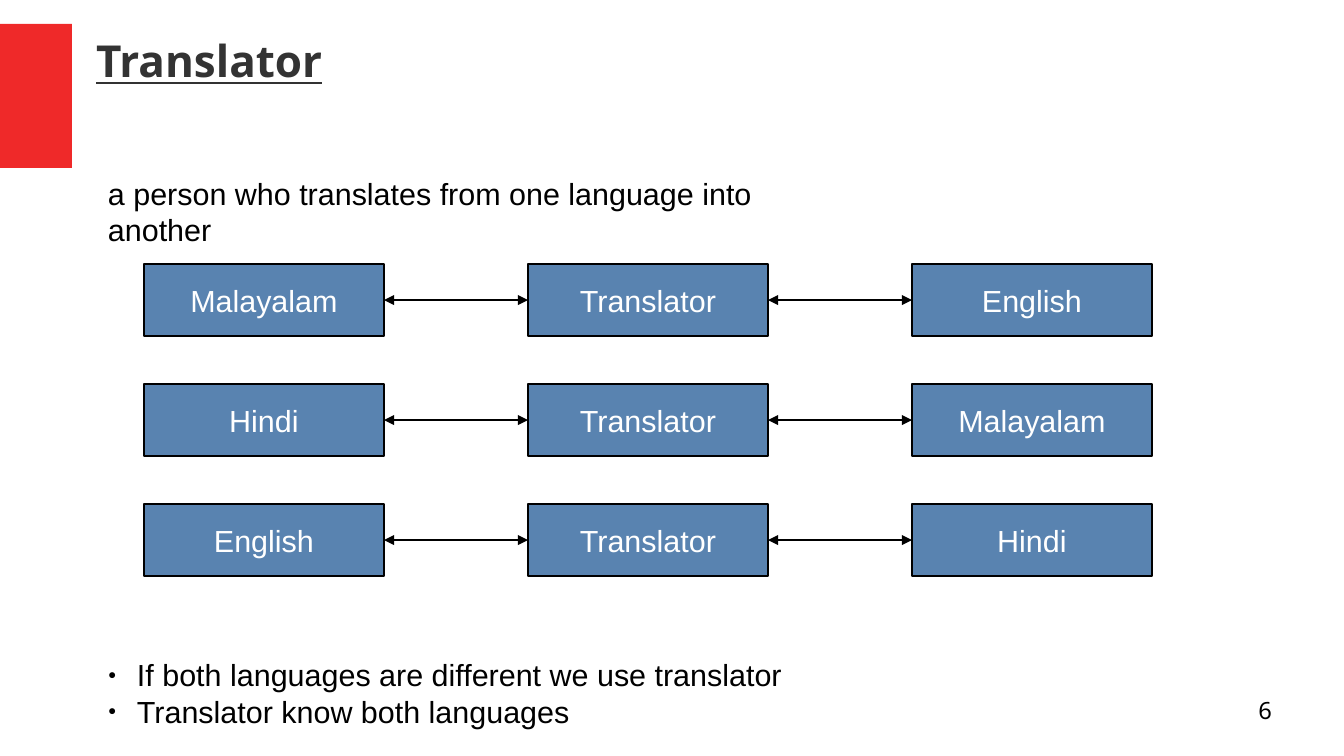
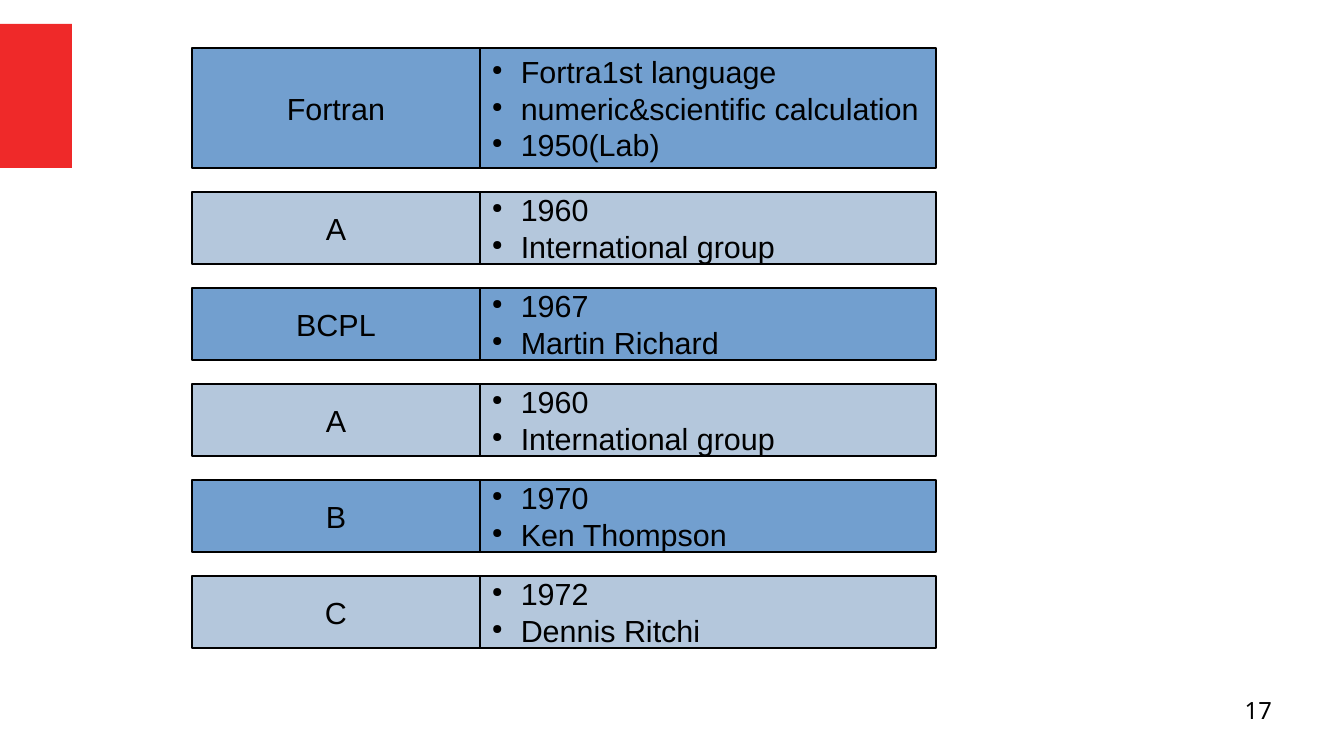
from lxml.etree import SubElement
from pptx import Presentation
from pptx.dml.color import RGBColor
from pptx.enum.shapes import MSO_CONNECTOR as Link, MSO_SHAPE as Form
from pptx.enum.text import MSO_ANCHOR as Anchor, MSO_AUTO_SIZE as Fit, PP_ALIGN as Align
from pptx.oxml.ns import qn
from pptx.util import Cm, Pt

paint = RGBColor.from_string
RED, STEEL, BLUE, PALE = "EF2929", "5983B0", "729FCF", "B4C7DC"
BLACK, WHITE, GREY = "000000", "FFFFFF", "333333"
EDGE = Pt(0.85)


def write(frame, lines, color=BLACK, size=18, face="Arial", align=Align.LEFT, dots=False):
    """Fill a text frame with one paragraph per line and return its runs."""
    frame.word_wrap = True
    frame.auto_size = Fit.NONE
    runs = []
    for i, line in enumerate(lines):
        para = frame.paragraphs[0] if i == 0 else frame.add_paragraph()
        para.alignment = align
        para.space_before = Pt(0)
        run = para.add_run()
        run.text = line
        run.font.size = Pt(size)
        run.font.name = face
        run.font.color.rgb = paint(color)
        runs.append(run)
        if dots:
            props = para._p.get_or_add_pPr()
            props.set("marL", str(Cm(0.6)))
            props.set("indent", str(-Cm(0.6)))
            tint = SubElement(props, qn("a:buClr"))
            SubElement(tint, qn("a:srgbClr")).set("val", BLACK)
            SubElement(props, qn("a:buSzPct")).set("val", "45000")
            SubElement(props, qn("a:buChar")).set("char", "●")
    return runs


def block(slide, left, top, width, height, fill, lines=(), **style):
    """Add a filled rectangle, outlined when it holds text."""
    shape = slide.shapes.add_shape(Form.RECTANGLE, Cm(left), Cm(top), Cm(width), Cm(height))
    shape.shadow.inherit = False
    shape.fill.solid()
    shape.fill.fore_color.rgb = paint(fill)
    if lines:
        shape.line.color.rgb = paint(BLACK)
        shape.line.width = EDGE
        shape.text_frame.vertical_anchor = Anchor.MIDDLE
        write(shape.text_frame, lines, **style)
    else:
        shape.line.fill.background()
    return shape


deck = Presentation()
deck.slide_width, deck.slide_height = Cm(28), Cm(15.75)
person = deck.slides.add_slide(deck.slide_layouts[1])
history = deck.slides.add_slide(deck.slide_layouts[6])

# Shared parts: the red band sits on the master, the page number on each slide
band = block(person, 0, 0.5, 1.5, 3, RED)
band.element.nvSpPr.cNvPr.set("id", "90")
deck.slide_master.shapes.element.append(band.element)

for slide, page in ((person, "6"), (history, "17")):
    frame = slide.shapes.add_textbox(Cm(20), Cm(14.5), Cm(6.5), Cm(1.1)).text_frame
    frame.margin_left = frame.margin_right = frame.margin_top = frame.margin_bottom = 0
    write(frame, [page], size=14, face="Noto Sans", align=Align.RIGHT)

# Translator
title = person.shapes.title
title.left, title.top, title.width, title.height = Cm(2), Cm(0.5), Cm(25), Cm(1.5)
frame = title.text_frame
frame.margin_left = frame.margin_right = frame.margin_top = frame.margin_bottom = 0
frame.vertical_anchor = Anchor.MIDDLE
head = write(frame, ["Translator"], GREY, 26, "Noto Sans")[0]
head.font.bold = head.font.underline = True

intro = person.shapes.add_textbox(Cm(2), Cm(3.52), Cm(16.2), Cm(0.97))
write(intro.text_frame, ["a person who translates from one language into another"])

pairs = [("Malayalam", "English"), ("Hindi", "Malayalam"), ("English", "Hindi")]
for row, (source, target) in enumerate(pairs):
    boxes = [
        block(person, 3 + 8 * col, 5.5 + 2.5 * row, 5, 1.5, STEEL, [word],
              color=WHITE, align=Align.CENTER)
        for col, word in enumerate((source, "Translator", target))
    ]
    for start, end in zip(boxes, boxes[1:]):
        arrow = person.shapes.add_connector(Link.STRAIGHT, 0, 0, 0, 0)
        arrow.begin_connect(start, 3)
        arrow.end_connect(end, 1)
        arrow.line.color.rgb = paint(BLACK)
        arrow.line.width = EDGE
        line = arrow.line._get_or_add_ln()
        for tip in ("a:headEnd", "a:tailEnd"):
            SubElement(line, qn(tip)).set("type", "triangle")
        SubElement(arrow.element.spPr, qn("a:effectLst"))

notes = person.placeholders[1]
notes.left, notes.top, notes.width, notes.height = Cm(2), Cm(13.54), Cm(16.2), Cm(0.97)
write(notes.text_frame, ["If both languages are different we use translator",
                         "Translator know both languages"], dots=True)

# History of languages
tongues = [
    ("Fortran", ["Fortra1st language", "numeric&scientific calculation", "1950(Lab)"]),
    ("A", ["1960", "International group"]),
    ("BCPL", ["1967", "Martin Richard"]),
    ("A", ["1960", "International group"]),
    ("B", ["1970", "Ken Thompson"]),
    ("C", ["1972", "Dennis Ritchi"]),
]
top = 1
for row, (name, facts) in enumerate(tongues):
    fill = PALE if row % 2 else BLUE
    height = len(facts) - 0.5
    block(history, 4, top, 6, height, fill, [name], align=Align.CENTER)
    block(history, 10, top, 9.5, height, fill, facts, dots=True)
    top += height + 0.5

deck.save("out.pptx")
